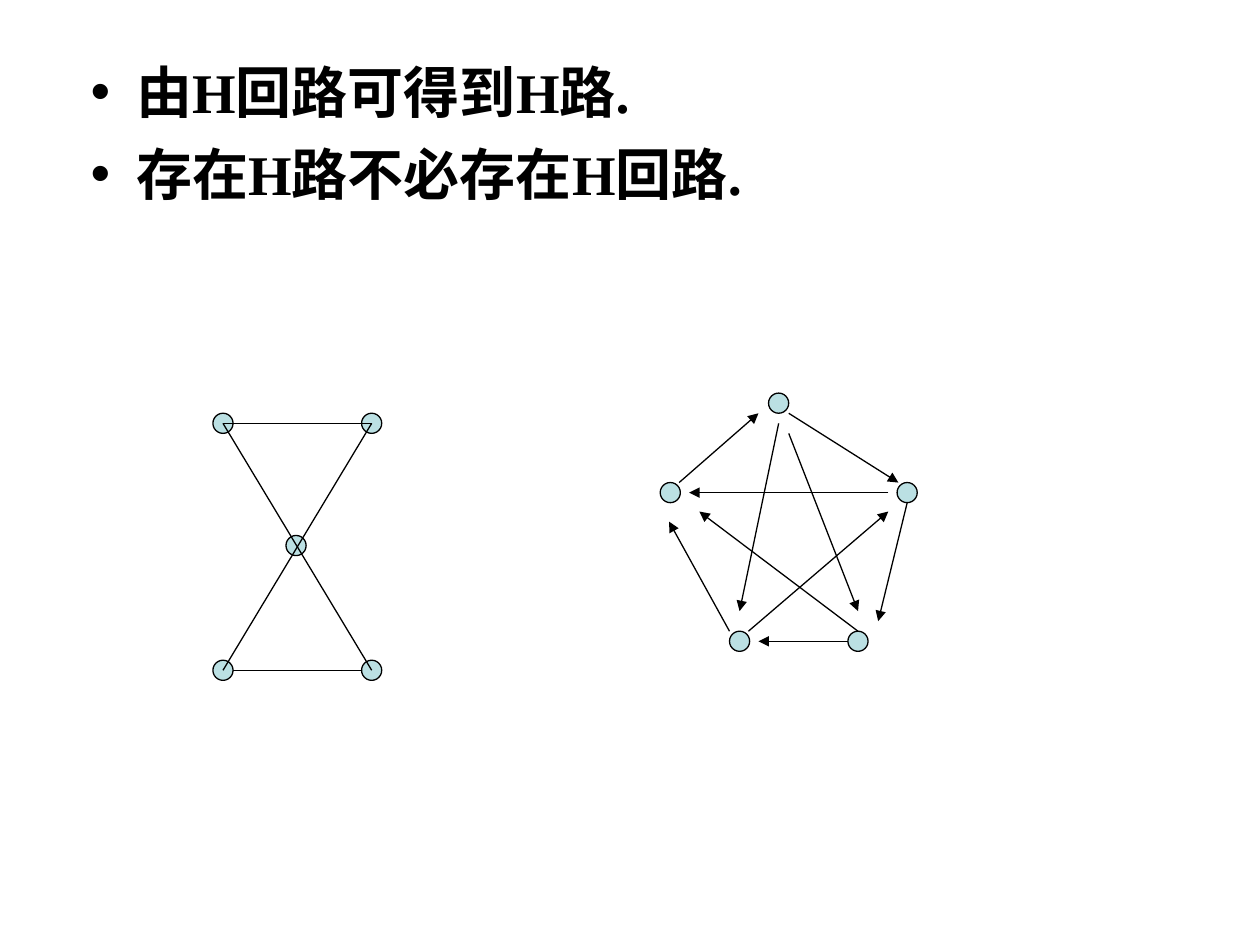
from lxml import etree
from pptx import Presentation
from pptx.dml.color import RGBColor
from pptx.enum.shapes import MSO_CONNECTOR, MSO_SHAPE
from pptx.oxml.ns import qn
from pptx.util import Inches, Pt

OVAL = MSO_SHAPE.OVAL
STRAIGHT = MSO_CONNECTOR.STRAIGHT
COLORS = {"ink": "000000", "node": "BBE0E3"}
FONT = "Times New Roman"
NODE_SIZE = 0.16
LINE_WIDTH = Pt(0.75)

STATEMENTS = ["由H回路可得到H路.", "存在H路不必存在H回路."]

# Node centres and edge ends, in inches
HOURGLASS_NODES = [(1.77, 3.36), (2.95, 3.36), (2.35, 4.33),
                   (1.77, 5.32), (2.95, 5.32)]
HOURGLASS_EDGES = [
    ((1.77, 3.36), (2.95, 3.36)),
    ((1.85, 5.32), (2.87, 5.32)),
    ((1.77, 3.36), (2.95, 5.32)),
    ((2.95, 3.36), (1.77, 5.32)),
]
TOURNAMENT_NODES = [(6.18, 3.2), (5.32, 3.91), (7.2, 3.91),
                    (5.87, 5.09), (6.81, 5.09)]
TOURNAMENT_EDGES = [
    ((5.39, 3.83), (6.02, 3.28)),
    ((6.26, 3.28), (7.13, 3.83)),
    ((7.2, 3.99), (6.97, 4.93)),
    ((6.73, 5.09), (6.02, 5.09)),
    ((5.79, 5.01), (5.31, 4.14)),
    ((6.18, 3.36), (5.87, 4.85)),
    ((7.05, 3.91), (5.47, 3.91)),
    ((6.81, 5.01), (5.55, 4.06)),
    ((5.94, 5.01), (7.05, 4.06)),
    ((6.26, 3.44), (6.81, 4.85)),
]


def rgb(name):
    return RGBColor.from_string(COLORS[name])


def set_line(line):
    line.color.rgb = rgb("ink")
    line.width = LINE_WIDTH


def add_bullets(slide, texts):
    box = slide.shapes.add_textbox(Inches(0.5), Inches(0.3), Inches(9), Inches(6.4))
    tf = box.text_frame
    tf.word_wrap = True
    tf.margin_left = Inches(0.2)
    for i, text in enumerate(texts):
        p = tf.paragraphs[0] if i == 0 else tf.add_paragraph()
        pPr = p._p.get_or_add_pPr()
        pPr.set("marL", str(Inches(0.38)))
        pPr.set("indent", str(-Inches(0.36)))
        etree.SubElement(pPr, qn("a:buFont")).set("typeface", "Arial")
        etree.SubElement(pPr, qn("a:buChar")).set("char", "•")
        p.line_spacing = 1.2
        if i:
            p.space_before = Pt(0.6)
        r = p.add_run()
        r.text = text
        r.font.name = FONT
        r.font.size = Pt(32)
        r.font.bold = True
        r.font.color.rgb = rgb("ink")


def add_node(slide, x, y):
    sp = slide.shapes.add_shape(OVAL, Inches(x - NODE_SIZE / 2), Inches(y - NODE_SIZE / 2),
                                Inches(NODE_SIZE), Inches(NODE_SIZE))
    sp.shadow.inherit = False
    sp.fill.solid()
    sp.fill.fore_color.rgb = rgb("node")
    set_line(sp.line)


def add_edge(slide, start, end, directed):
    edge = slide.shapes.add_connector(STRAIGHT, *map(Inches, start + end))
    set_line(edge.line)
    if directed:
        ln = edge.line._get_or_add_ln()
        etree.SubElement(ln, qn("a:tailEnd")).set("type", "triangle")
    etree.SubElement(edge._element.spPr, qn("a:effectLst"))


def add_graph(slide, nodes, edges, directed=False):
    for x, y in nodes:
        add_node(slide, x, y)
    for start, end in edges:
        add_edge(slide, start, end, directed)


def main():
    prs = Presentation()
    prs.slide_width, prs.slide_height = Inches(10), Inches(7.5)
    slide = prs.slides.add_slide(prs.slide_layouts[6])
    add_bullets(slide, STATEMENTS)
    add_graph(slide, HOURGLASS_NODES, HOURGLASS_EDGES)
    add_graph(slide, TOURNAMENT_NODES, TOURNAMENT_EDGES, directed=True)
    prs.save("out.pptx")


if __name__ == "__main__":
    main()
